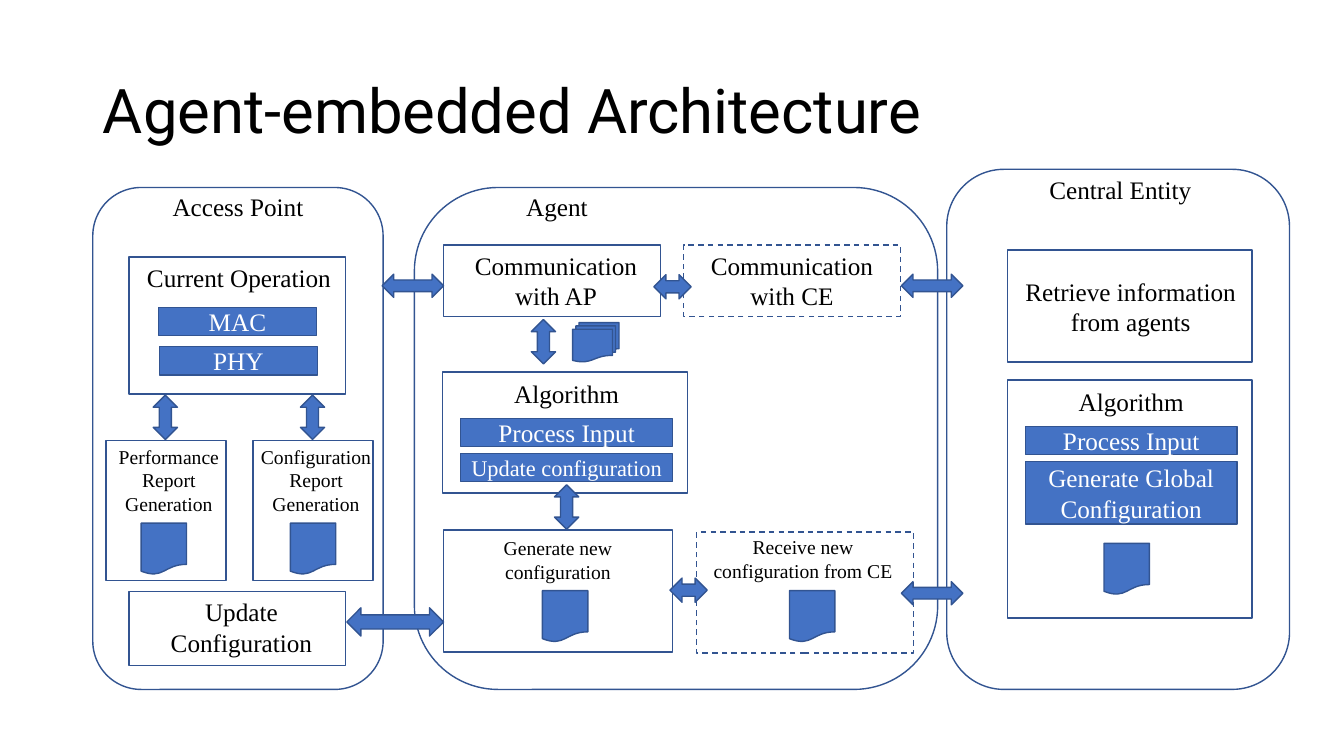
import pptx
import pptx.util
import pptx.dml.color
import pptx.enum.dml
import pptx.enum.shapes
import pptx.enum.text

Inches = pptx.util.Inches
Pt = pptx.util.Pt
Shape = pptx.enum.shapes.MSO_SHAPE
Align = pptx.enum.text.PP_ALIGN
Anchor = pptx.enum.text.MSO_ANCHOR
AutoSize = pptx.enum.text.MSO_AUTO_SIZE
COLORS = {"blue": "4472C4", "outline": "325491", "black": "000000", "white": "FFFFFF"}
SERIF = "Times New Roman"

deck = pptx.Presentation()
deck.slide_width, deck.slide_height = Inches(13.33), Inches(7.5)
page = deck.slides.add_slide(deck.slide_layouts[5])


def add_outlined(kind, left, top, width, height, filled=False):
    shape = page.shapes.add_shape(
        kind, Inches(left), Inches(top), Inches(width), Inches(height))
    shape.shadow.inherit = False
    if filled:
        shape.fill.solid()
        shape.fill.fore_color.rgb = pptx.dml.color.RGBColor.from_string(COLORS["blue"])
    else:
        shape.fill.background()
    shape.line.color.rgb = pptx.dml.color.RGBColor.from_string(COLORS["outline"])
    shape.line.width = Pt(1)
    return shape


def write_text(box, text, size, color, align=Align.CENTER, font=SERIF):
    box.text_frame.word_wrap = True
    para = box.text_frame.paragraphs[0]
    para.alignment = align
    for index, line in enumerate(text.split("\n")):
        if index:
            para.add_line_break()
        span = para.add_run()
        span.text = line
        span.font.name = font
        span.font.size = Pt(size)
        span.font.color.rgb = pptx.dml.color.RGBColor.from_string(COLORS[color])
    return para


# Title
title = page.shapes.title
title.left, title.top = Inches(0.92), Inches(0.4)
title.width, title.height = Inches(11.5), Inches(1.45)
title.text_frame.vertical_anchor = Anchor.MIDDLE
title.text_frame.auto_size = AutoSize.NONE
heading = write_text(title, "Agent-embedded Architecture", 44, "black", Align.LEFT, "Roboto")
heading.line_spacing = 0.9

# Rounded containers: access point, agent, central entity
for left, top, width, height in [
    (0.92, 1.86, 2.88, 4.98),
    (4.11, 1.86, 5.19, 4.98),
    (9.39, 1.68, 3.4, 5.16),
]:
    add_outlined(Shape.ROUNDED_RECTANGLE, left, top, width, height)

# Module frames; the dashed ones talk to the central entity
for left, top, width, height, dashed in [
    (1.28, 2.55, 2.15, 1.36, False),
    (1.05, 4.37, 1.19, 1.39, False),
    (2.51, 4.37, 1.19, 1.39, False),
    (1.28, 5.87, 2.15, 0.73, False),
    (4.4, 2.43, 2.15, 0.71, False),
    (6.78, 2.43, 2.15, 0.71, True),
    (4.39, 3.69, 2.43, 1.2, False),
    (4.4, 5.26, 2.27, 1.21, False),
    (6.91, 5.28, 2.15, 1.2, True),
    (9.99, 2.48, 2.43, 1.11, False),
    (9.99, 3.77, 2.43, 2.36, False),
]:
    frame = add_outlined(Shape.RECTANGLE, left, top, width, height)
    if dashed:
        frame.line.dash_style = pptx.enum.dml.MSO_LINE.DASH

# Labels
for text, left, top, width, height, size, align in [
    ("Access Point", 1.55, 1.85, 1.62, 0.4, 18, Align.CENTER),
    ("Agent", 5.12, 1.85, 2.07, 0.4, 18, Align.LEFT),
    ("Central Entity", 10.31, 1.68, 2.07, 0.4, 18, Align.LEFT),
    ("Current Operation", 1.36, 2.55, 2.07, 0.4, 18, Align.LEFT),
    ("Performance Report Generation", 1.02, 4.36, 1.31, 0.81, 14, Align.CENTER),
    ("Configuration\nReport Generation", 2.48, 4.36, 1.31, 0.81, 14, Align.CENTER),
    ("Update Configuration", 1.36, 5.87, 2.07, 0.71, 18, Align.CENTER),
    ("Communication with AP", 4.48, 2.43, 2.07, 0.71, 18, Align.CENTER),
    ("Communication with CE", 6.82, 2.43, 2.07, 0.71, 18, Align.CENTER),
    ("Algorithm", 4.79, 3.7, 1.66, 0.4, 18, Align.CENTER),
    ("Generate new configuration", 4.4, 5.27, 2.27, 0.57, 14, Align.CENTER),
    ("Receive new configuration from CE", 6.91, 5.26, 2.11, 0.57, 14, Align.CENTER),
    ("Retrieve information from agents", 10, 2.69, 2.43, 0.71, 18, Align.CENTER),
    ("Algorithm", 10.39, 3.78, 1.66, 0.4, 18, Align.CENTER),
]:
    label = page.shapes.add_textbox(Inches(left), Inches(top), Inches(width), Inches(height))
    write_text(label, text, size, "black", align)
    label.text_frame.auto_size = AutoSize.SHAPE_TO_FIT_TEXT

# Filled bars inside the modules
for text, left, top, width, height, size in [
    ("MAC", 1.57, 3.05, 1.57, 0.28, 18),
    ("PHY", 1.58, 3.44, 1.57, 0.28, 18),
    ("Process Input", 4.57, 4.15, 2.1, 0.28, 18),
    ("Update configuration", 4.57, 4.5, 2.1, 0.28, 16),
    ("Process Input", 10.17, 4.23, 2.1, 0.28, 18),
    ("Generate Global Configuration", 10.17, 4.58, 2.1, 0.62, 18),
]:
    bar = add_outlined(Shape.RECTANGLE, left, top, width, height, filled=True)
    bar.text_frame.vertical_anchor = Anchor.MIDDLE
    write_text(bar, text, size, "white")

# Vertical double arrows
for left, top in [(1.52, 3.92), (2.98, 3.92), (5.27, 3.17), (5.5, 4.81)]:
    add_outlined(Shape.UP_DOWN_ARROW, left, top, 0.24, 0.44, filled=True)

# Horizontal double arrows, turned on their side
for left, top, width, height in [
    (3.98, 2.53, 0.23, 0.61),
    (9.13, 2.53, 0.23, 0.61),
    (9.13, 5.58, 0.23, 0.61),
    (6.55, 2.66, 0.24, 0.37),
    (6.71, 5.67, 0.24, 0.37),
    (3.78, 5.69, 0.28, 0.96),
]:
    arrow = add_outlined(Shape.UP_DOWN_ARROW, left, top, width, height, filled=True)
    arrow.rotation = 270

# Report and configuration documents
add_outlined(Shape.FLOWCHART_MULTIDOCUMENT, 5.68, 3.2, 0.46, 0.39, filled=True)
for left, top in [(1.4, 5.19), (2.88, 5.19), (5.38, 5.86), (7.83, 5.86), (10.95, 5.39)]:
    add_outlined(Shape.FLOWCHART_DOCUMENT, left, top, 0.45, 0.51, filled=True)

deck.save("out.pptx")
